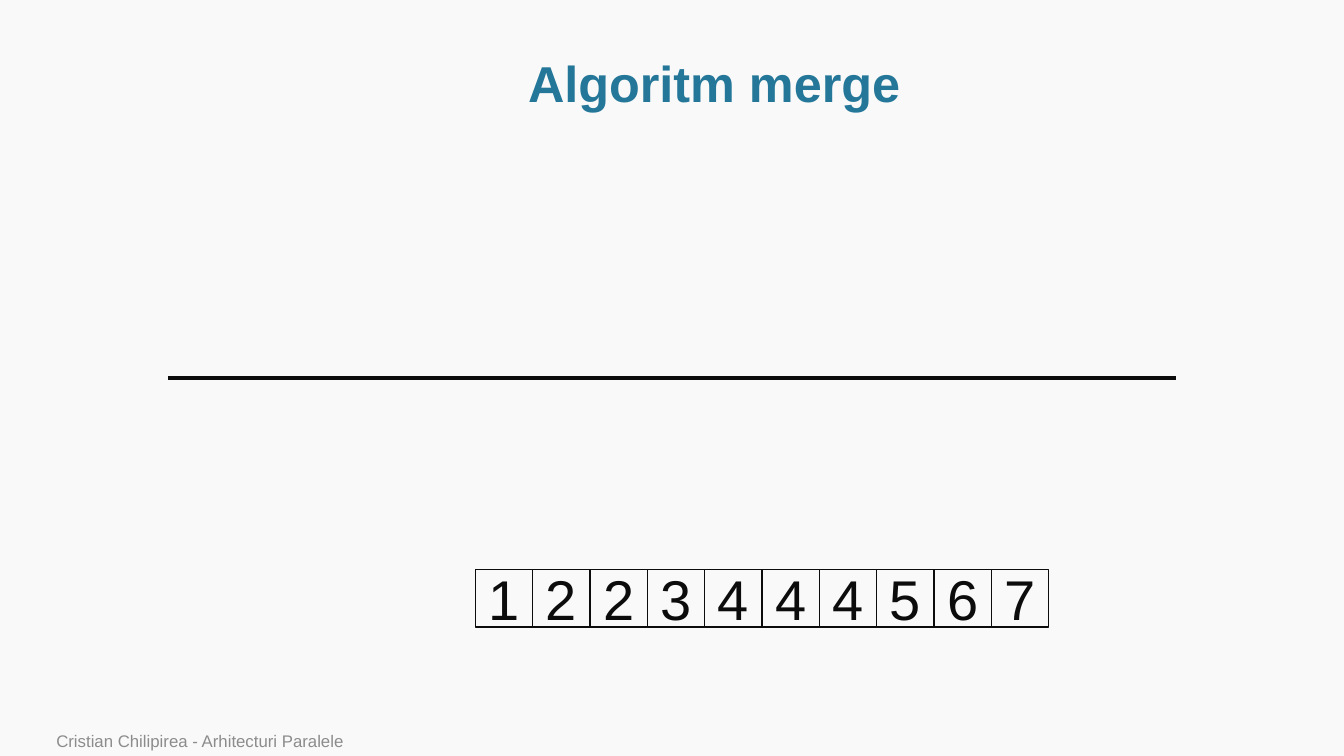
import pptx
import pptx.dml.color
import pptx.enum.shapes
import pptx.enum.text
import pptx.oxml
import pptx.util

Cm = pptx.util.Cm
Pt = pptx.util.Pt
Align = pptx.enum.text.PP_ALIGN
Anchor = pptx.enum.text.MSO_ANCHOR

INK = "0C0C0C"
MERGED_VALUES = [1, 2, 2, 3, 4, 4, 4, 5, 6, 7]


def color(hex_code):
    return pptx.dml.color.RGBColor.from_string(hex_code)


def write(shape, text, size, hex_code, align, anchor, bold=False):
    frame = shape.text_frame
    frame.word_wrap = True
    frame.vertical_anchor = anchor
    paragraph = frame.paragraphs[0]
    paragraph.text = text
    paragraph.alignment = align
    font = paragraph.runs[0].font
    font.name = "Arial"
    font.size = Pt(size)
    font.bold = bold
    font.color.rgb = color(hex_code)
    return paragraph


def add_title(slide, left, top, width, height):
    title = slide.shapes.add_textbox(left, top, width, height)
    paragraph = write(title, "Algoritm merge", 36, "247798", Align.CENTER, Anchor.MIDDLE, True)
    paragraph.line_spacing = 0.9


def add_divider(slide, left, top, width):
    divider = slide.shapes.add_connector(
        pptx.enum.shapes.MSO_CONNECTOR.STRAIGHT, left, top, left + width, top)
    divider.line.color.rgb = color(INK)
    divider.line.width = Pt(3)
    divider._element.spPr.append(pptx.oxml.parse_xml(
        '<a:effectLst xmlns:a="http://schemas.openxmlformats.org/drawingml/2006/main"/>'))


def add_merged_array(slide, left, top, width, height):
    cell_width = width // len(MERGED_VALUES)
    for index, value in enumerate(MERGED_VALUES):
        cell = slide.shapes.add_shape(
            pptx.enum.shapes.MSO_SHAPE.RECTANGLE,
            left + index * cell_width, top, cell_width, height)
        cell.shadow.inherit = False
        cell.fill.background()
        cell.line.color.rgb = color(INK)
        cell.line.width = Pt(1)
        write(cell, str(value), 40, INK, Align.CENTER, Anchor.MIDDLE)


def add_footer(slide, left, top, width, height):
    footer = slide.shapes.add_textbox(left, top, width, height)
    write(footer, "Cristian Chilipirea - Arhitecturi Paralele", 12, "8C8C8C",
          Align.LEFT, Anchor.BOTTOM)


def main():
    deck = pptx.Presentation()
    deck.slide_width = Cm(33.87)
    deck.slide_height = Cm(19.05)
    slide = deck.slides.add_slide(deck.slide_layouts[6])
    slide.background.fill.solid()
    slide.background.fill.fore_color.rgb = color("F9F9F9")
    add_merged_array(slide, Cm(11.98), Cm(14.35), Cm(14.45), Cm(1.45))
    add_divider(slide, Cm(4.23), Cm(9.53), Cm(25.4))
    add_title(slide, Cm(2.9), Cm(1.3), Cm(30.2), Cm(1.75))
    add_footer(slide, Cm(1.17), Cm(18.34), Cm(24.94), Cm(0.71))
    deck.save("out.pptx")


if __name__ == "__main__":
    main()
